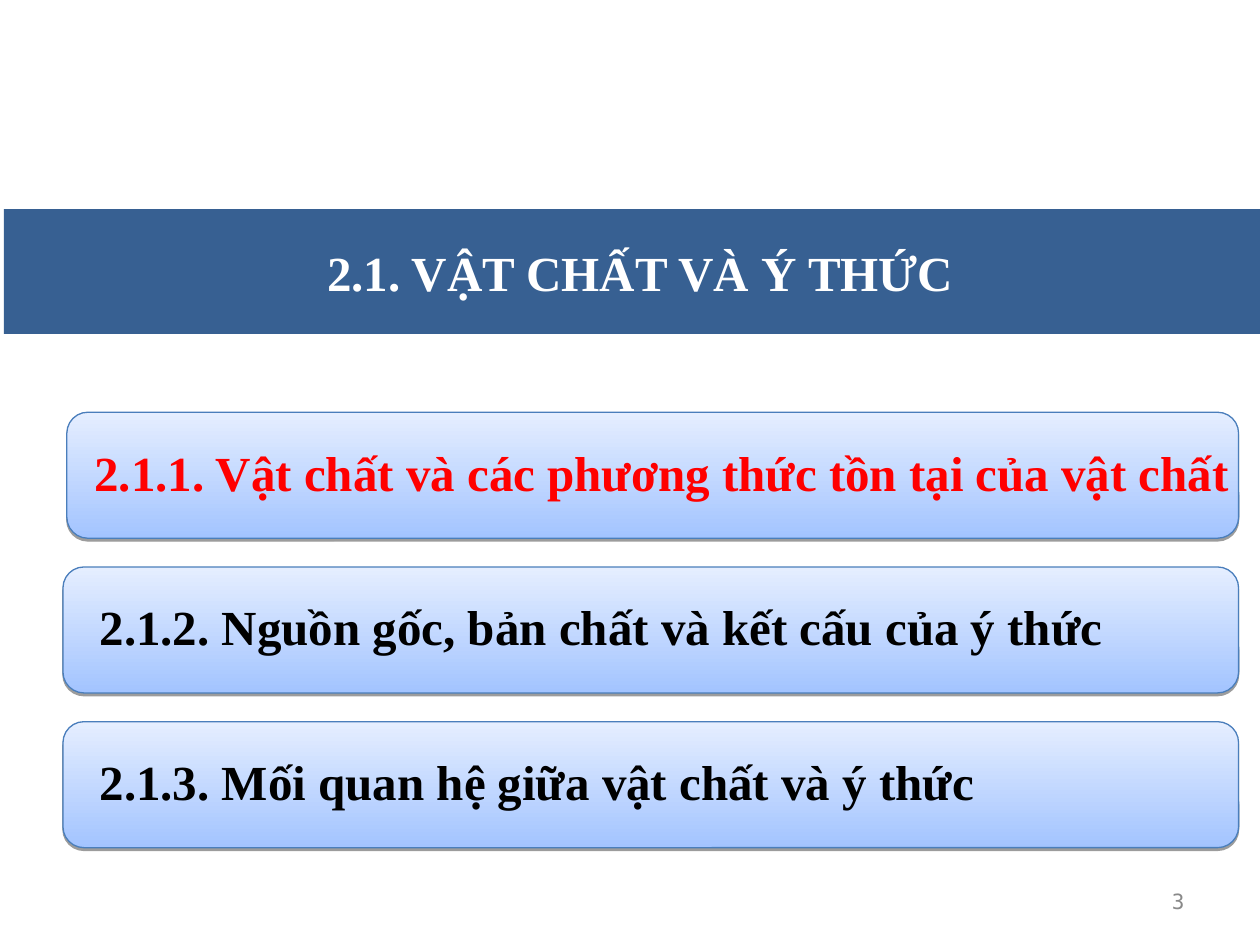
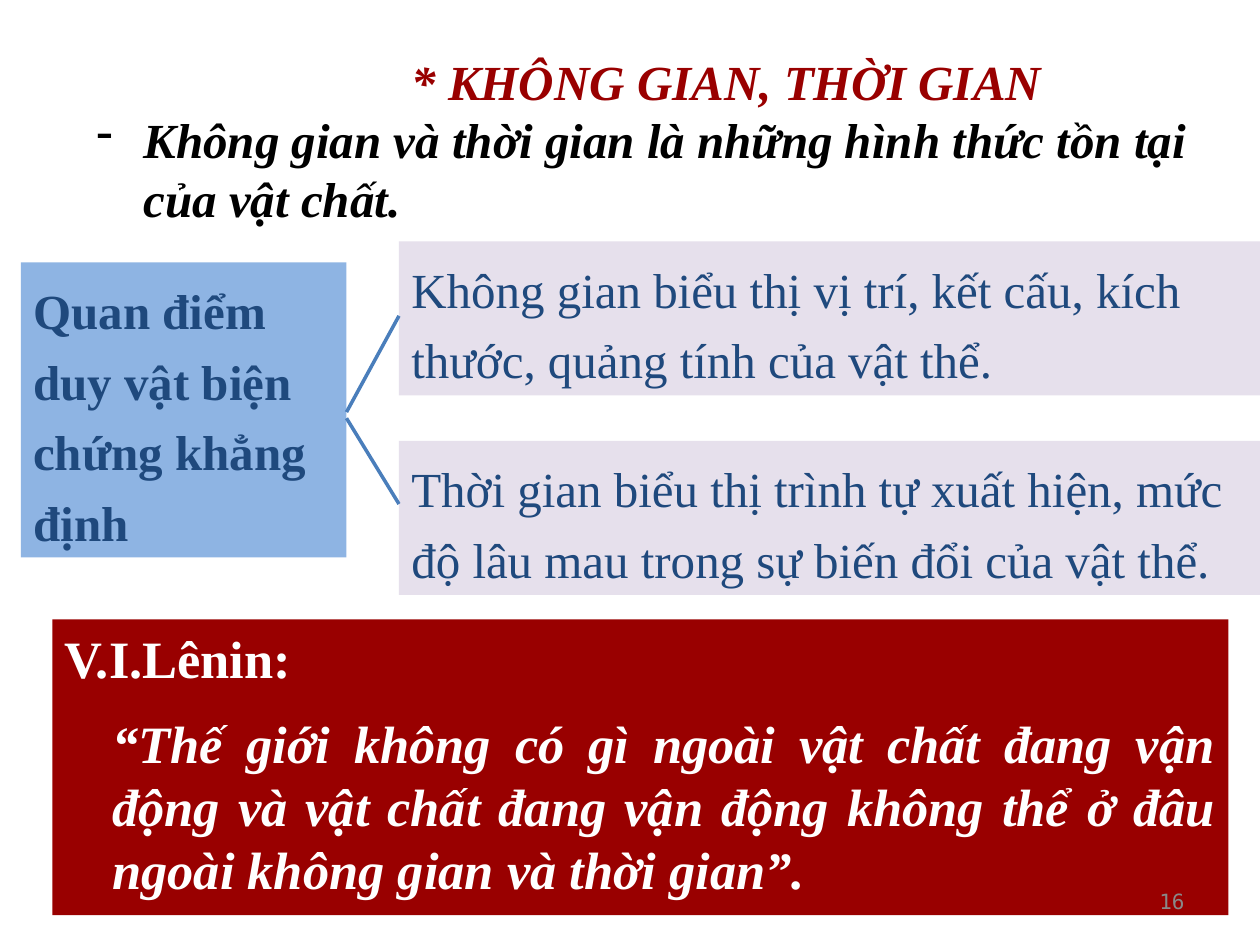
from pptx import Presentation
from pptx.dml.color import RGBColor
from pptx.enum.shapes import MSO_CONNECTOR, MSO_SHAPE
from pptx.enum.text import MSO_ANCHOR, MSO_AUTO_SIZE, PP_ALIGN
from pptx.oxml import parse_xml
from pptx.oxml.ns import nsdecls, qn
from pptx.util import Pt

RECT, ROUND = MSO_SHAPE.RECTANGLE, MSO_SHAPE.ROUNDED_RECTANGLE
STRAIGHT = MSO_CONNECTOR.STRAIGHT
TOP, MIDDLE = MSO_ANCHOR.TOP, MSO_ANCHOR.MIDDLE
LEFT, CENTER = PP_ALIGN.LEFT, PP_ALIGN.CENTER
RIGHT, JUSTIFY = PP_ALIGN.RIGHT, PP_ALIGN.JUSTIFY
NO_FIT = MSO_AUTO_SIZE.NONE


class Theme:
    white = RGBColor.from_string("FFFFFF")
    black = RGBColor.from_string("000000")
    red = RGBColor.from_string("FF0000")
    maroon = RGBColor.from_string("990000")
    navy = RGBColor.from_string("1F497D")
    band = RGBColor.from_string("376092")
    sky = RGBColor.from_string("8EB4E3")
    lilac = RGBColor.from_string("E6E0EC")
    edge = RGBColor.from_string("4A7EBB")
    deep = RGBColor.from_string("A3C4FF")
    pale = RGBColor.from_string("E5EEFF")
    gray = RGBColor.from_string("898989")
    font, mono = "Times New Roman", "DejaVu Sans Mono"
    body, quote, small = 28, 30, 12


def write(shape, text, color=Theme.black, size=Theme.body, font=Theme.font,
          bold=False, italic=False, align=LEFT, anchor=TOP, side=7.2, edge=3.6,
          lines=1.0, before=0, after=0, indent=0, first=0):
    """Add one paragraph of text to the shape and return it."""
    frame = shape.text_frame
    frame.word_wrap, frame.auto_size = True, NO_FIT
    frame.vertical_anchor = anchor
    frame.margin_left = frame.margin_right = Pt(side)
    frame.margin_top = frame.margin_bottom = Pt(edge)
    para = frame.paragraphs[0]
    if para.runs:
        para = frame.add_paragraph()
    para.alignment, para.line_spacing = align, lines
    para.space_before, para.space_after = Pt(before), Pt(after)
    props = para._p.get_or_add_pPr()
    props.set("marL", str(Pt(indent)))
    props.set("indent", str(Pt(first)))
    run = para.add_run()
    run.text = text
    run.font.name, run.font.size = font, Pt(size)
    run.font.bold, run.font.italic = bold, italic
    run.font.color.rgb = color
    return para


def block(slide, kind, place, fill=None):
    """Add a shape without line or shadow."""
    shape = slide.shapes.add_shape(kind, *map(Pt, place))
    shape.shadow.inherit = False
    shape.line.fill.background()
    if fill is not None:
        shape.fill.solid()
        shape.fill.fore_color.rgb = fill
    return shape


deck = Presentation()
deck.slide_width, deck.slide_height = Pt(720), Pt(540)
topics, space = [deck.slides.add_slide(deck.slide_layouts[5]) for _ in range(2)]

# Titles
for slide, place in ((topics, (2.2, 119.5, 720, 71.3)), (space, (228, 26, 390, 41))):
    title = slide.shapes.title
    title.left, title.top, title.width, title.height = map(Pt, place)
title = topics.shapes.title
title.fill.solid()
title.fill.fore_color.rgb = Theme.band
write(title, " 2.1. VẬT CHẤT VÀ Ý THỨC", color=Theme.white, bold=True,
      align=CENTER, anchor=MIDDLE)
write(space.shapes.title, "* KHÔNG GIAN, THỜI GIAN", color=Theme.maroon,
      bold=True, italic=True)

# Topic cards: left and width of the card, then of its text
wide, rest = (38.2, 669.6, 37.4, 694.8), (36, 671.8, 40.3, 663.8)
cards = (
    ("2.1.1. Vật chất và các phương thức tồn tại của vật chất", Theme.red, wide),
    ("2.1.2. Nguồn gốc, bản chất và kết cấu của ý thức", Theme.black, rest),
    ("2.1.3. Mối quan hệ giữa vật chất và ý thức", Theme.black, rest),
)
for row, (text, color, (left, width, inner, span)) in enumerate(cards):
    top = 235.6 + 88.4 * row
    card = block(topics, ROUND, (left, top, width, 72))
    card.fill.gradient()
    card.fill.gradient_angle = 90
    for stop, spot, tint in zip(card.fill.gradient_stops, (0, 1),
                                (Theme.deep, Theme.pale)):
        stop.position, stop.color.rgb = spot, tint
    card.line.color.rgb, card.line.width = Theme.edge, Pt(0.75)
    card._element.spPr.find(qn("a:effectLst")).append(parse_xml(
        f'<a:outerShdw {nsdecls("a")} blurRad="0" dist="{Pt(1.6)}" dir="5400000" '
        'rotWithShape="0"><a:srgbClr val="000000"><a:alpha val="38000"/>'
        '</a:srgbClr></a:outerShdw>'))
    label = topics.shapes.add_textbox(Pt(inner), Pt(top + 3.4), Pt(span), Pt(65))
    write(label, text, color=color, bold=True, anchor=MIDDLE, side=16.6, edge=0,
          lines=0.9, after=12.2)

# Lead statement with a dash bullet
lead = space.shapes.add_textbox(Pt(48), Pt(59), Pt(648), Pt(78))
para = write(lead, "Không gian và thời gian là những hình thức tồn tại của vật chất.",
             bold=True, italic=True, before=7, indent=27, first=-27)
for mark in ('<a:buClr {}><a:srgbClr val="000000"/></a:buClr>',
             '<a:buChar {} char="-"/>'):
    para._p.pPr.append(parse_xml(mark.format(nsdecls("a"))))

# Viewpoint and its two claims
claims = (
    ("Quan điểm duy vật biện chứng khẳng định",
     (12, 150, 186, 168.5), Theme.sky, True),
    ("Không gian biểu thị vị trí, kết cấu, kích thước, quảng tính của vật thể.",
     (228, 138, 492, 88), Theme.lilac, False),
    ("Thời gian biểu thị trình tự xuất hiện, mức độ lâu mau trong sự biến đổi "
     "của vật thể.", (228, 252, 492, 88), Theme.lilac, False),
)
for text, place, fill, bold in claims:
    write(block(space, RECT, place, fill), text, color=Theme.navy, bold=bold,
          lines=1.2, after=7)

# Quotation
quote = block(space, RECT, (30, 354, 672, 169), Theme.maroon)
look = dict(color=Theme.white, size=Theme.quote, bold=True, align=JUSTIFY, indent=27)
write(quote, "V.I.Lênin:", first=-27, before=7.5, after=7.5, **look)
write(quote, "“Thế giới không có gì ngoài vật chất đang vận động và vật chất đang "
      "vận động không thể ở đâu ngoài không gian và thời gian”.",
      italic=True, before=5.5, after=5.5, **look)

# Lines from the viewpoint to its claims
for start, end in ((235.5, 180.5), (239, 288)):
    link = space.shapes.add_connector(STRAIGHT, Pt(198), Pt(start), Pt(228), Pt(end))
    link.line.color.rgb, link.line.width = Theme.edge, Pt(2)
    link._element.spPr.append(parse_xml(f'<a:effectLst {nsdecls("a")}/>'))

# Page numbers
for slide, page in ((topics, "3"), (space, "16")):
    foot = slide.shapes.add_textbox(Pt(516), Pt(500.5), Pt(168), Pt(28.8))
    write(foot, page, color=Theme.gray, size=Theme.small, font=Theme.mono,
          align=RIGHT, anchor=MIDDLE)

deck.save("out.pptx")
